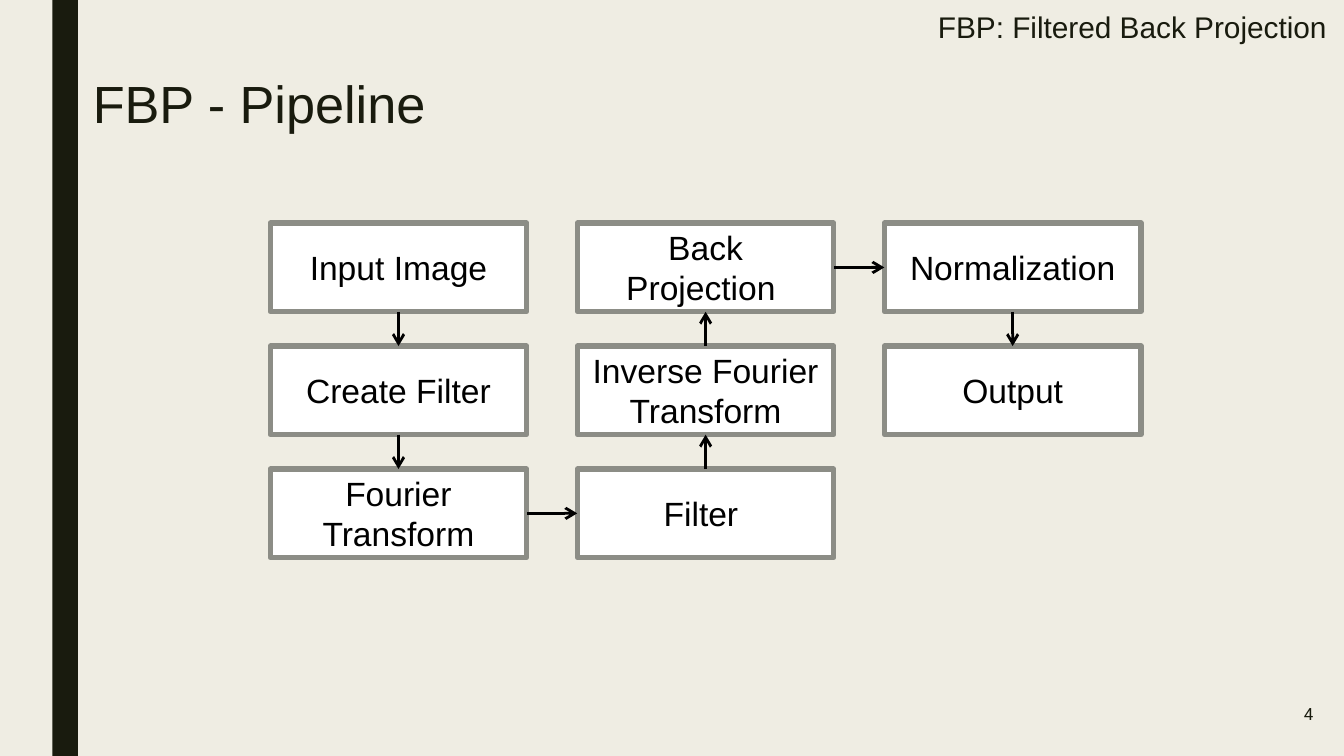
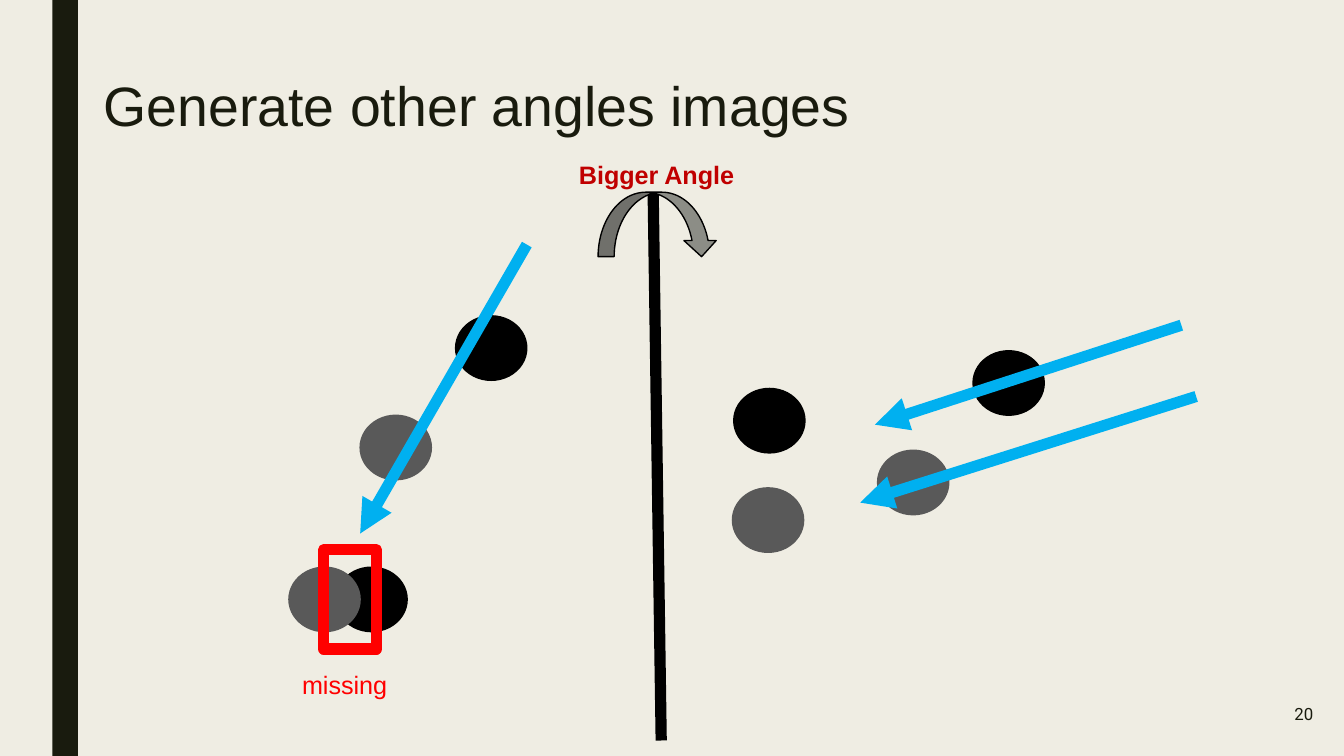
from collections import namedtuple

from lxml.etree import SubElement
from pptx import Presentation
from pptx.dml.color import RGBColor
from pptx.enum.shapes import MSO_CONNECTOR as CONN, MSO_SHAPE as SHAPE
from pptx.enum.text import MSO_ANCHOR as ANCHOR, MSO_AUTO_SIZE as AUTO, PP_ALIGN as ALIGN
from pptx.oxml.ns import qn
from pptx.util import Inches, Pt

COLORS = {
    "paper": "EFEDE3", "ink": "191B0E", "white": "FFFFFF", "black": "000000",
    "frame": "8C8D86", "gray": "595959", "ray": "00B0F0",
    "red": "FF0000", "dark_red": "C00000",
}
FONT = "Arial"
WIDTH = 10
HEIGHT = WIDTH * 9 / 16
TOP, LEFT, BOTTOM, RIGHT = range(4)
Box = namedtuple("Box", "x y w h")


def rgb(name):
    """Return the named palette colour."""
    return RGBColor.from_string(COLORS[name])


def write(s, text, size, color, font=FONT, bold=False, align=ALIGN.LEFT,
          anchor=ANCHOR.TOP, spacing=None, margin=(0.1, 0.05), wrap=True):
    """Put one formatted paragraph into a shape."""
    tf = s.text_frame
    tf.text = text
    tf.auto_size = AUTO.NONE
    tf.word_wrap = wrap
    tf.vertical_anchor = anchor
    tf.margin_left = tf.margin_right = Inches(margin[0])
    tf.margin_top = tf.margin_bottom = Inches(margin[1])
    p = tf.paragraphs[0]
    p.alignment = align
    if spacing:
        p.line_spacing = spacing
    f = p.runs[0].font
    f.name, f.size, f.bold = font, Pt(size), bold
    f.color.rgb = rgb(color)


def add_text(slide, box, text, size, color, **style):
    """Add a text box."""
    s = slide.shapes.add_textbox(*map(Inches, box))
    write(s, text, size, color, **style)


def add_shape(slide, kind, box, fill=None, line=None, width=0.75):
    """Add a flat preset shape with an optional fill and outline."""
    s = slide.shapes.add_shape(kind, *map(Inches, box))
    s.shadow.inherit = False
    if fill:
        s.fill.solid()
        s.fill.fore_color.rgb = rgb(fill)
    else:
        s.fill.background()
    if line:
        s.line.color.rgb = rgb(line)
        s.line.width = Pt(width)
    else:
        s.line.fill.background()
    return s


def add_line(slide, start, end, color, width, head=None):
    """Add a straight connector, with an arrowhead at its end if named."""
    s = slide.shapes.add_connector(CONN.STRAIGHT, *map(Inches, (*start, *end)))
    s.line.color.rgb = rgb(color)
    s.line.width = Pt(width)
    if head:
        SubElement(s.line._get_or_add_ln(), qn("a:tailEnd"), type=head)
    SubElement(s._element.spPr, qn("a:effectLst"))
    return s


def style_master(prs, slide):
    """Give the master its background and the side bar, drawn by way of a slide."""
    master = prs.slide_master
    fill = master.background.fill
    fill.solid()
    fill.fore_color.rgb = rgb("paper")
    bar = add_shape(slide, SHAPE.RECTANGLE, Box(0.39, 0, 0.19, HEIGHT), "ink")
    master.shapes._spTree.insert(2, bar._element)


def add_slide(prs, title, number, title_left, title_size):
    """Add a slide with its title and page number."""
    slide = prs.slides.add_slide(prs.slide_layouts[5])
    s = slide.shapes.title
    s.left, s.top, s.width, s.height = map(Inches, (title_left, 0.49, 9.32, 0.63))
    write(s, title, title_size, "ink", spacing=0.89, margin=(0.1, 0.1))
    add_text(slide, Box(9.27, 5.1, 0.6, 0.43), number, 9, "ink", font="Roboto",
             align=ALIGN.RIGHT, anchor=ANCHOR.MIDDLE, margin=(0.1, 0.1))
    return slide


def add_pipeline(slide, box):
    """Lay the steps out on a 3 by 3 grid and join them in order."""
    w, h = 1.91, 0.66
    dx, dy = (box.w - w) / 2, (box.h - h) / 2
    steps = [
        ("Input Image", 0, 0), ("Create Filter", 0, 1), ("Fourier Transform", 0, 2),
        ("Filter ", 1, 2), ("Inverse Fourier Transform", 1, 1), ("Back Projection ", 1, 0),
        ("Normalization", 2, 0), ("Output", 2, 1),
    ]
    cells = []
    for label, col, row in steps:
        place = Box(box.x + col * dx, box.y + row * dy, w, h)
        s = add_shape(slide, SHAPE.RECTANGLE, place, "white", "frame", 2.75)
        write(s, label, 18, "black", align=ALIGN.CENTER, anchor=ANCHOR.MIDDLE)
        cells.append((s, col, row))
    for (a, col, row), (b, next_col, next_row) in zip(cells, cells[1:]):
        if next_col > col:
            sites = RIGHT, LEFT
        elif next_row > row:
            sites = BOTTOM, TOP
        else:
            sites = TOP, BOTTOM
        arrow = add_line(slide, (0, 0), (0, 0), "black", 1.5, "arrow")
        arrow.begin_connect(a, sites[0])
        arrow.end_connect(b, sites[1])


def add_balls(slide, box, black, gray):
    """Add a black ball and a gray ball at offsets inside the box."""
    for color, (x, y) in (("black", black), ("gray", gray)):
        add_shape(slide, SHAPE.OVAL, Box(box.x + x, box.y + y, 0.53, 0.48), color, color)


def add_ray(slide, box, start, end):
    """Add a projection ray between two offsets inside the box."""
    points = [(box.x + x, box.y + y) for x, y in (start, end)]
    add_line(slide, *points, "ray", 6, "triangle")


def add_overlap_view(slide, box):
    """Show one ray through both balls and the part that goes missing."""
    add_balls(slide, box, (1.24, 0.53), (0.53, 1.27))
    add_ray(slide, box, (1.77, 0), (0.53, 2.15))
    add_balls(slide, box, (0.35, 2.4), (0, 2.4))
    add_shape(slide, SHAPE.RECTANGLE, Box(box.x + 0.26, box.y + 2.27, 0.39, 0.74),
              line="red", width=6)
    add_text(slide, Box(box.x, box.y + 3.11, 0.86, 0.33), "missing", 13.5, "red", wrap=False)


def add_angle_axis(slide, box):
    """Draw the dividing axis with its turning arrow and label."""
    add_line(slide, (box.x + 0.65, box.y + 0.29), (box.x + 0.71, box.y + box.h), "black", 6)
    add_shape(slide, SHAPE.CURVED_DOWN_ARROW,
              Box(box.x + 0.24, box.y + 0.29, 0.89, 0.48), "frame", "black")
    add_text(slide, Box(box.x, box.y, box.w, 0.33), "Bigger Angle", 13.5, "dark_red",
             bold=True, wrap=False)


def add_separate_view(slide, box):
    """Show two rays that project the balls apart."""
    add_balls(slide, box, (1.79, 0.19), (1.08, 0.93))
    add_ray(slide, box, (3.34, 0), (1.06, 0.74))
    add_ray(slide, box, (3.45, 0.53), (0.95, 1.32))
    add_balls(slide, box, (0.01, 0.47), (0, 1.21))


def build_pipeline_slide(prs):
    """Build the FBP pipeline slide."""
    slide = add_slide(prs, "FBP - Pipeline", "4", 0.59, 28)
    add_text(slide, Box(6.88, 0, 3.12, 0.49), "FBP: Filtered Back Projection", 16, "ink",
             spacing=0.89, margin=(0.1, 0.1))
    add_pipeline(slide, Box(2.01, 1.66, 6.48, 2.49))
    return slide


def build_angles_slide(prs):
    """Build the slide comparing projection angles."""
    slide = add_slide(prs, "Generate other angles images", "20", 0.67, 29.7)
    add_overlap_view(slide, Box(2.15, 1.82, 1.77, 3.44))
    add_angle_axis(slide, Box(4.21, 1.14, 1.43, 4.37))
    add_separate_view(slide, Box(5.45, 2.42, 3.45, 1.69))


def main():
    """Build and save the presentation."""
    prs = Presentation()
    prs.slide_width, prs.slide_height = Inches(WIDTH), Inches(HEIGHT)
    slide = build_pipeline_slide(prs)
    style_master(prs, slide)
    build_angles_slide(prs)
    prs.save("out.pptx")


if __name__ == "__main__":
    main()
